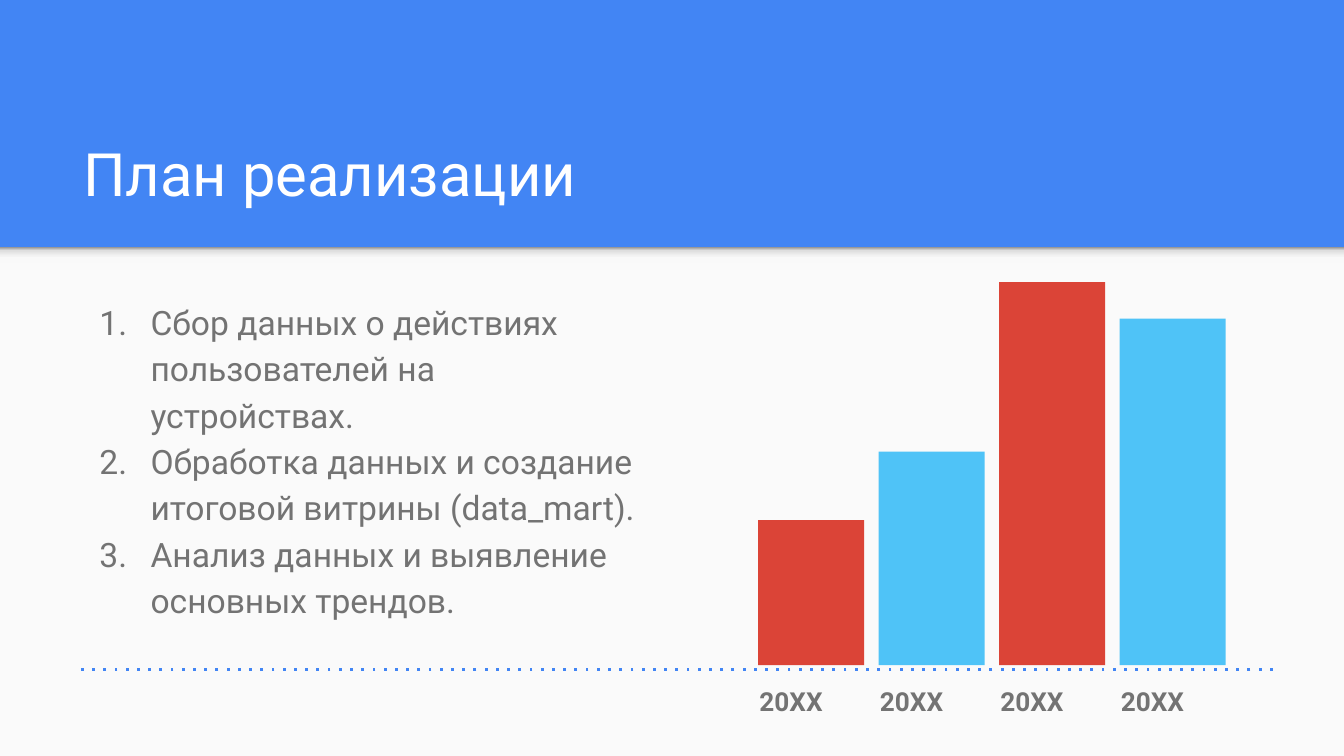
"""Build the project plan slide with a numbered list and a bar motif."""
from lxml.etree import SubElement
from pptx import Presentation
from pptx.dml.color import RGBColor
from pptx.enum.dml import MSO_LINE
from pptx.enum.shapes import MSO_CONNECTOR, MSO_SHAPE
from pptx.enum.text import MSO_ANCHOR, MSO_AUTO_SIZE, PP_ALIGN
from pptx.oxml.ns import qn
from pptx.util import Inches, Pt

HUES = {"blue": "4285F4", "pale": "FAFAFA", "white": "FFFFFF", "gray": "737373",
        "red": "DB4437", "sky": "4FC3F7"}
PLAIN = "{2D5ABB26-0587-4C30-8999-92F81FD0307C}"


def write(frame, text, size=18, hue="gray", bold=False, space=1.0,
          anchor=MSO_ANCHOR.TOP, listed=False):
    frame.word_wrap = True
    frame.vertical_anchor = anchor
    frame.margin_left = frame.margin_right = Inches(0.1)
    frame.margin_top = frame.margin_bottom = Inches(0.1)
    frame.text = text
    for para in frame.paragraphs:
        para.alignment = PP_ALIGN.LEFT
        para.line_spacing = space
        para.space_before = para.space_after = Pt(0)
        if listed:
            props = para._p.get_or_add_pPr()
            props.set("marL", str(Inches(0.5)))
            props.set("indent", str(Inches(-0.38)))
            tint = SubElement(props, qn("a:buClr"))
            SubElement(tint, qn("a:srgbClr"), val=HUES[hue])
            SubElement(props, qn("a:buFont"), typeface="Roboto")
            SubElement(props, qn("a:buAutoNum"), type="arabicPeriod")
        for run in para.runs:
            font = run.font
            font.name, font.size, font.bold = "Roboto", Pt(size), bold
            font.color.rgb = RGBColor.from_string(HUES[hue])


def block(left, top, width, height, hue):
    shape = slide.shapes.add_shape(MSO_SHAPE.RECTANGLE, Inches(left), Inches(top),
                                   Inches(width), Inches(height))
    shape.shadow.inherit = False
    shape.line.fill.background()
    shape.fill.solid()
    shape.fill.fore_color.rgb = RGBColor.from_string(HUES[hue])
    return shape


deck = Presentation()
deck.slide_width, deck.slide_height = Inches(10), Inches(10 * 9 / 16)
slide = deck.slides.add_slide(deck.slide_layouts[1])
slide.background.fill.solid()
slide.background.fill.fore_color.rgb = RGBColor.from_string(HUES["blue"])

panel = block(0, 1.84, 10, 10 * 9 / 16 - 1.84, "pale")
shade = block(0, 1.84, 10, 0.12, "pale")
shade.fill.gradient()
shade.fill.gradient_angle = 90
stops = shade._element.spPr.find(qn("a:gradFill")).find(qn("a:gsLst"))
for stop in list(stops):
    stops.remove(stop)
for spot, tone in ((0, "F9F9F9"), (36, "F9F9F9"), (80, "DEDEDE"), (100, "999999")):
    stop = SubElement(stops, qn("a:gs"), pos=str(spot * 1000))
    SubElement(stop, qn("a:srgbClr"), val=tone)
tree = slide.shapes._spTree
for index, shape in enumerate((panel, shade), 2):
    tree.insert(index, shape._element)

title, body = slide.placeholders
title.left, title.top = Inches(0.52), Inches(0.81)
title.width, title.height = Inches(8.99), Inches(0.84)
write(title.text_frame, "План реализации", size=32, hue="white",
      anchor=MSO_ANCHOR.BOTTOM)

body.left, body.top = Inches(0.52), Inches(2.1)
body.width, body.height = Inches(4.37), Inches(2.96)
steps = ("Сбор данных о действиях пользователей на устройствах.",
         "Обработка данных и создание итоговой витрины (data_mart).",
         "Анализ данных и выявление основных трендов.")
write(body.text_frame, "\n".join(steps), space=1.15, listed=True)
for holder in (title, body):
    holder.text_frame.auto_size = MSO_AUTO_SIZE.NONE

step, base = (8.33 - 5.64) / 3, 4.95
table = slide.shapes.add_table(1, 4, Inches(5.55), Inches(4.98),
                               Inches(4 * step), Inches(0.26)).table
table.first_row = table.horz_banding = False
table._tbl.tblPr.find(qn("a:tableStyleId")).text = PLAIN
for cell in table.iter_cells():
    cell.fill.background()
    cell.margin_left = cell.margin_right = Inches(0.1)
    cell.margin_top = cell.margin_bottom = Inches(0.1)
    write(cell.text_frame, "20XX", size=14, bold=True, space=1.15)

for index, tall in enumerate((1.08, 1.59, 2.85, 2.58)):
    block(5.64 + index * step, base - tall, 0.79, tall, ("red", "sky")[index % 2])

axis = slide.shapes.add_connector(MSO_CONNECTOR.STRAIGHT, Inches(9.47), Inches(4.98),
                                  Inches(0.56), Inches(4.98))
axis.line.color.rgb = RGBColor.from_string(HUES["blue"])
axis.line.width = Pt(1.5)
axis.line.dash_style = MSO_LINE.ROUND_DOT
axis.line._ln.find(qn("a:prstDash")).set("val", "dot")
SubElement(axis._element.spPr, qn("a:effectLst"))

deck.save("out.pptx")
